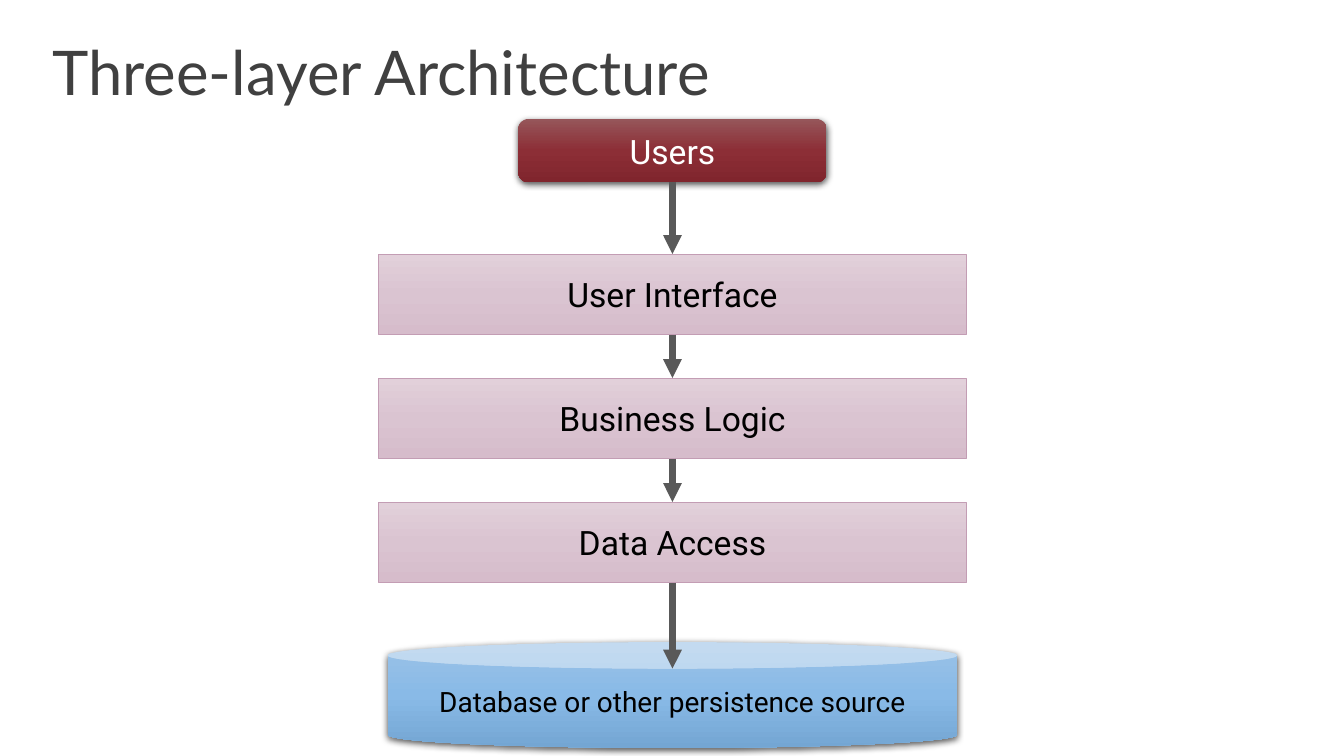
from dataclasses import dataclass

from lxml.etree import SubElement
from pptx import Presentation
from pptx.dml.color import RGBColor
from pptx.enum.shapes import MSO_CONNECTOR as Link, MSO_SHAPE as Kind
from pptx.enum.text import MSO_ANCHOR as Anchor, PP_ALIGN as Align
from pptx.oxml.ns import qn
from pptx.shapes.autoshape import Shape
from pptx.slide import Slide
from pptx.text.text import _Paragraph as Para
from pptx.util import Inches, Pt

MID = 6.67
RED = ("96565A", "8C2E36", "80252D")
PINK = ("E2D0DA", "DAC4D1", "D6BCCB")
BLUE = ("9BC2E7", "89BAE7", "74A6D3")


@dataclass
class Block:
    text: str
    kind: Kind
    top: float
    width: float
    height: float
    shades: tuple[str, str, str]
    size: int = 24
    ink: str = "000000"
    edge: str | None = None


def color(code: str) -> RGBColor:
    return RGBColor.from_string(code)


def style(para: Para, font: str, size: int, ink: str, align: Align) -> None:
    para.alignment = align
    para.font.name = font
    para.font.size = Pt(size)
    para.font.color.rgb = color(ink)


def shade(shape: Shape, shades: tuple[str, str, str]) -> None:
    """Fill from top to bottom with evenly spaced colour stops."""
    shape.fill.gradient()
    shape.fill.gradient_angle = 270
    stops = shape._element.spPr.find(".//" + qn("a:gsLst"))
    for stop in list(stops):
        stops.remove(stop)
    for i, code in enumerate(shades):
        stop = SubElement(stops, qn("a:gs"), pos=str(i * 50000))
        SubElement(stop, qn("a:srgbClr"), val=code)


def lift(shape: Shape) -> None:
    """Add a soft shadow below the shape."""
    effects = shape._element.spPr.find(qn("a:effectLst"))
    shadow = SubElement(effects, qn("a:outerShdw"), blurRad=str(Pt(4.5)),
                        dist=str(Pt(1.5)), dir="5400000", rotWithShape="0")
    black = SubElement(shadow, qn("a:srgbClr"), val="000000")
    SubElement(black, qn("a:alpha"), val="63000")


def draw(slide: Slide, block: Block) -> None:
    shape = slide.shapes.add_shape(
        block.kind, Inches(MID - block.width / 2), Inches(block.top),
        Inches(block.width), Inches(block.height))
    shade(shape, block.shades)
    shape.shadow.inherit = False
    if block.edge:
        shape.line.color.rgb = color(block.edge)
        shape.line.width = Pt(0.5)
    else:
        shape.line.fill.background()
        lift(shape)
    frame = shape.text_frame
    frame.word_wrap = True
    frame.vertical_anchor = Anchor.MIDDLE
    frame.text = block.text
    style(frame.paragraphs[0], "Roboto", block.size, block.ink, Align.CENTER)


def arrow(slide: Slide, start: float, end: float) -> None:
    line = slide.shapes.add_connector(
        Link.STRAIGHT, Inches(MID), Inches(start), Inches(MID), Inches(end))
    line.line.color.rgb = color("595959")
    line.line.width = Pt(4.5)
    SubElement(line.line._get_or_add_ln(), qn("a:tailEnd"), type="triangle")
    SubElement(line._element.spPr, qn("a:effectLst"))


def head(slide: Slide, text: str) -> None:
    title = slide.shapes.title
    title.left, title.top = Inches(0.36), Inches(0.32)
    title.width, title.height = Inches(12.55), Inches(0.98)
    frame = title.text_frame
    frame.margin_left = frame.margin_right = Inches(0.16)
    frame.margin_top = frame.margin_bottom = Inches(0.1)
    frame.vertical_anchor = Anchor.TOP
    frame.text = text
    para = frame.paragraphs[0]
    para.line_spacing = 0.9
    style(para, "Lato", 44, "404040", Align.LEFT)


def main() -> None:
    deck = Presentation()
    deck.slide_width, deck.slide_height = Inches(13.33), Inches(7.5)
    slide = deck.slides.add_slide(deck.slide_layouts[5])
    head(slide, "Three-layer Architecture")

    layers = ("User Interface", "Business Logic", "Data Access")
    store = Block("Database or other persistence source", Kind.CAN,
                  6.37, 5.65, 1.05, BLUE, size=20)
    blocks = [
        Block("Users", Kind.ROUNDED_RECTANGLE, 1.18, 3.06, 0.63, RED,
              ink="FFFFFF"),
        *(Block(name, Kind.RECTANGLE, 2.52 + 1.23 * i, 5.83, 0.8, PINK,
                edge="C39DB4") for i, name in enumerate(layers)),
        store,
    ]
    for block in blocks:
        draw(slide, block)
    lid = store.height / 4
    for upper, lower in zip(blocks, blocks[1:]):
        end = lower.top + (lid if lower is store else 0)
        arrow(slide, upper.top + upper.height, end)
    deck.save("out.pptx")


if __name__ == "__main__":
    main()
